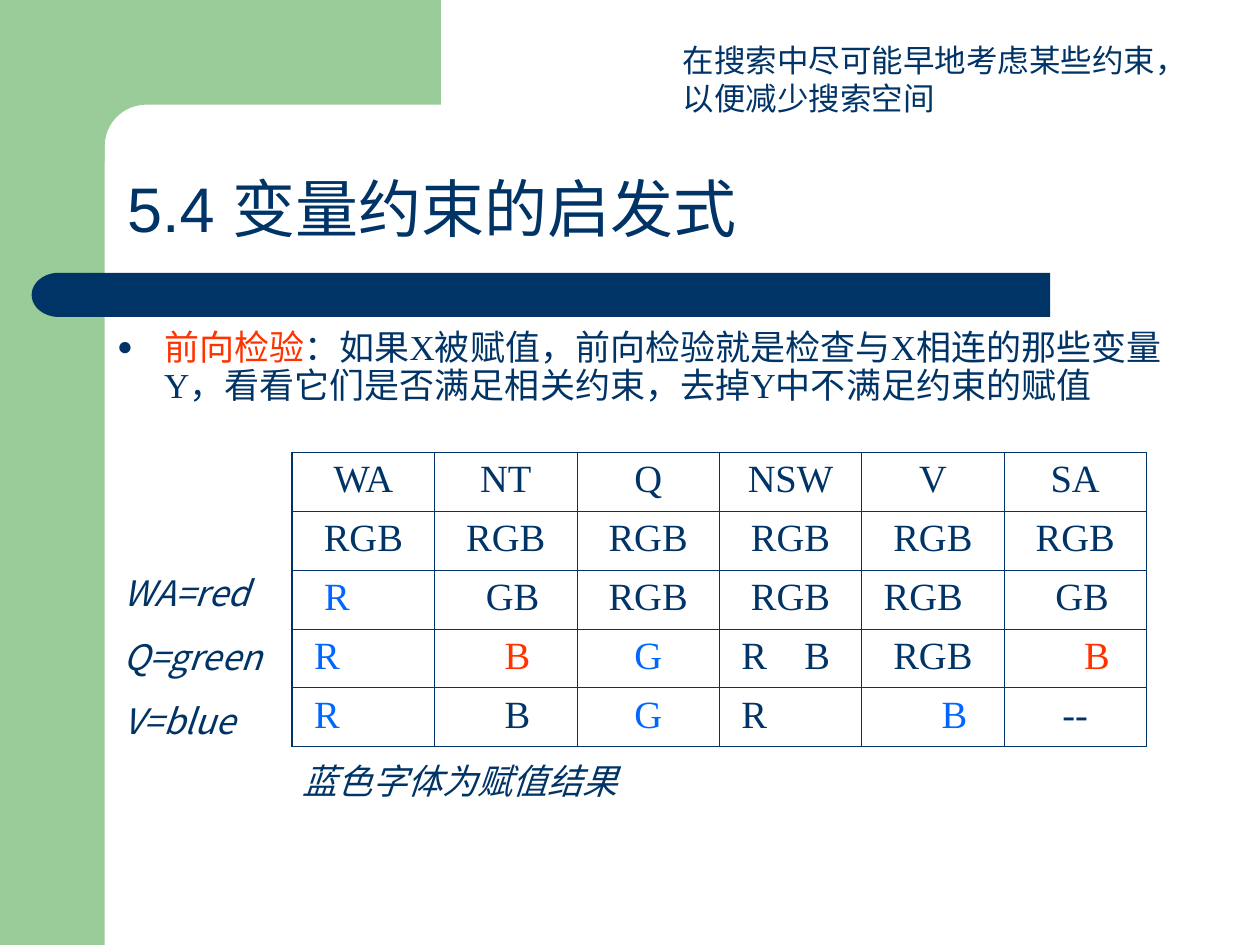
from math import cos, pi, sin

from lxml import etree
from pptx import Presentation
from pptx.dml.color import RGBColor
from pptx.enum.shapes import MSO_SHAPE
from pptx.enum.text import MSO_ANCHOR, PP_ALIGN
from pptx.oxml.ns import qn
from pptx.util import Cm, Pt

LEFT, CENTER = PP_ALIGN.LEFT, PP_ALIGN.CENTER
TOP, BOTTOM = MSO_ANCHOR.TOP, MSO_ANCHOR.BOTTOM
COLORS = {"navy": "003366", "green": "99CC99", "red": "FF3300", "blue": "0066FF"}
SANS, SERIF, CJK = "Arial", "Times New Roman", "Noto Sans CJK KR"

# A paragraph is a list of runs: (text, font, colour)
TITLE = [[("5.4 ", SANS, "navy"), ("变量约束的启发式", SERIF, "navy")]]
DEFINITION = [[
    ("前向检验", SANS, "red"),
    ("：如果", SANS, "navy"),
    ("X被赋值，前向检验就是检查与X相连的那些变量Y，"
     "看看它们是否满足相关约束，去掉Y中不满足约束的赋值", SERIF, "navy"),
]]
PURPOSE = [[("在搜索中尽可能早地考虑某些约束，", SANS, "navy")],
           [("以便减少搜索空间", SANS, "navy")]]
ASSIGNMENTS = [[(step, CJK, "navy")] for step in ("WA=red", "Q=green", "V=blue")]
LEGEND = [[("蓝色字体为赋值结果", CJK, "navy")]]

# A cell is (text, colour, indent in cm); without an indent it is centred
FULL = ("RGB", "navy", None)
DOMAINS = [
    [(name, "navy", None) for name in ("WA", "NT", "Q", "NSW", "V", "SA")],
    [FULL] * 6,
    [("R", "blue", 0.39), ("GB", "navy", 0.78), FULL, FULL,
     ("RGB", "navy", 0.19), ("GB", "navy", 0.78)],
    [("R", "blue", 0.19), ("B", "red", 1.16), ("G", "blue", None),
     ("R\tB", "navy", 0.19), FULL, ("B", "red", 1.36)],
    [("R", "blue", 0.19), ("B", "navy", 1.16), ("G", "blue", None),
     ("R", "navy", 0.19), ("B", "blue", 1.36), ("--", "navy", None)],
]
TABLE_LEFT, TABLE_TOP, COLUMN_WIDTH, ROW_HEIGHT = 5.89, 9.12, 2.87, 1.18
LETTER_STOP = 1.3
THIN, THICK = 0.45, 1.08


def rgb(color):
    return RGBColor.from_string(COLORS[color])


def add_xml(parent, tag, **attributes):
    return etree.SubElement(parent, qn(tag), attributes)


def write(frame, paragraphs, size, align=LEFT, italic=False, before=0,
          spacing=1.0, indent=0, hanging=0, anchor=TOP):
    """Fill a text frame with paragraphs of runs; return the last paragraph."""
    frame.vertical_anchor = anchor
    for index, runs in enumerate(paragraphs):
        paragraph = frame.add_paragraph() if index else frame.paragraphs[0]
        paragraph.alignment = align
        paragraph.line_spacing = spacing
        paragraph.space_before = Pt(before)
        properties = paragraph._p.get_or_add_pPr()
        properties.set("marL", str(Cm(indent)))
        properties.set("indent", str(Cm(-hanging)))
        for text, font, color in runs:
            run = paragraph.add_run()
            run.text = text
            run.font.name = font
            run.font.size = Pt(size)
            run.font.italic = italic
            run.font.color.rgb = rgb(color)
    return paragraph


def add_text(slide, box, paragraphs, size, inset=True, wrap=True, **style):
    frame = slide.shapes.add_textbox(*map(Cm, box)).text_frame
    frame.word_wrap = wrap
    if not inset:
        frame.margin_left = frame.margin_right = 0
        frame.margin_top = frame.margin_bottom = 0
    return write(frame, paragraphs, size, **style)


def paint(shape, color):
    shape.shadow.inherit = False
    shape.fill.solid()
    shape.fill.fore_color.rgb = rgb(color)
    shape.line.fill.background()


def add_block(slide, preset, box, color):
    block = slide.shapes.add_shape(preset, *map(Cm, box))
    paint(block, color)
    return block


def add_corner(slide):
    """Draw the top band, whose inner corner is a quarter circle."""
    center, radius, steps = 2.95, 0.84, 12
    angles = [pi / 2 * step / steps for step in range(steps + 1)]
    curve = [(center - radius * sin(a), center - radius * cos(a)) for a in angles]
    outline = [(8.89, 0), (8.89, center - radius), *curve,
               (center - radius, 3.25), (1.27, 3.25), (1.27, 0)]
    points = [(Cm(x), Cm(y)) for x, y in outline]
    builder = slide.shapes.build_freeform(*points[0])
    builder.add_line_segments(points[1:], close=True)
    paint(builder.convert_to_shape(), "green")


def add_bullet(paragraph):
    properties = paragraph._p.get_or_add_pPr()
    add_xml(add_xml(properties, "a:buClr"), "a:srgbClr", val=COLORS["navy"])
    add_xml(properties, "a:buSzPct", val="75000")
    add_xml(properties, "a:buFont", typeface=SANS)
    add_xml(properties, "a:buChar", char="●")


def add_borders(cell, widths):
    properties = cell._tc.get_or_add_tcPr()
    for position, (side, width) in enumerate(widths.items()):
        line = etree.Element(qn(f"a:ln{side}"), w=str(Pt(width)))
        add_xml(add_xml(line, "a:solidFill"), "a:srgbClr", val=COLORS["navy"])
        properties.insert(position, line)


def add_domains(slide):
    rows, columns = len(DOMAINS), len(DOMAINS[0])
    box = (TABLE_LEFT, TABLE_TOP, columns * COLUMN_WIDTH, rows * ROW_HEIGHT)
    table = slide.shapes.add_table(rows, columns, *map(Cm, box)).table
    table.first_row = table.horz_banding = False
    for column in table.columns:
        column.width = Cm(COLUMN_WIDTH)
    for r, domains in enumerate(DOMAINS):
        table.rows[r].height = Cm(ROW_HEIGHT)
        for c, (text, color, indent) in enumerate(domains):
            cell = table.cell(r, c)
            cell.fill.background()
            paragraph = write(cell.text_frame, [[(text, SERIF, color)]], 22,
                              align=CENTER if indent is None else LEFT,
                              indent=indent or 0)
            if "\t" in text:
                stops = add_xml(paragraph._p.get_or_add_pPr(), "a:tabLst")
                add_xml(stops, "a:tab", pos=str(Cm(LETTER_STOP)), algn="l")
            outer = {"L": c == 0, "R": c == columns - 1,
                     "T": r == 0, "B": r == rows - 1}
            add_borders(cell, {side: THICK if edge else THIN
                               for side, edge in outer.items()})


def main():
    deck = Presentation()
    deck.slide_width, deck.slide_height = Cm(25.4), Cm(19.05)
    slide = deck.slides.add_slide(deck.slide_layouts[5])

    add_block(slide, MSO_SHAPE.RECTANGLE, (0, 0, 2.11, 19.05), "green")
    add_corner(slide)
    add_block(slide, MSO_SHAPE.RECTANGLE, (1.7, 5.5, 19.47, 0.89), "navy")
    cap = add_block(slide, MSO_SHAPE.FLOWCHART_DELAY, (0.64, 5.5, 1.09, 0.89), "navy")
    cap._element.spPr.find(qn("a:xfrm")).set("flipH", "1")

    title = slide.shapes.title
    title.left, title.top, title.width, title.height = map(Cm, (2.31, 2.31, 21.62, 2.77))
    write(title.text_frame, TITLE, 36, spacing=0.9, anchor=BOTTOM)

    definition = add_text(slide, (2.11, 6.53, 22.61, 7.21), DEFINITION, 20,
                          spacing=0.9, before=5, indent=0.95, hanging=0.95)
    add_bullet(definition)
    add_domains(slide)
    add_text(slide, (2.49, 11.53, 3, 3.43), ASSIGNMENTS, 20,
             inset=False, italic=True, before=12.5)
    add_text(slide, (6.1, 15.32, 11.61, 0.84), LEGEND, 20,
             inset=False, italic=True, before=12.5)
    add_text(slide, (13.51, 0.71, 10.67, 1.78), PURPOSE, 18, wrap=False)
    deck.save("out.pptx")


if __name__ == "__main__":
    main()
